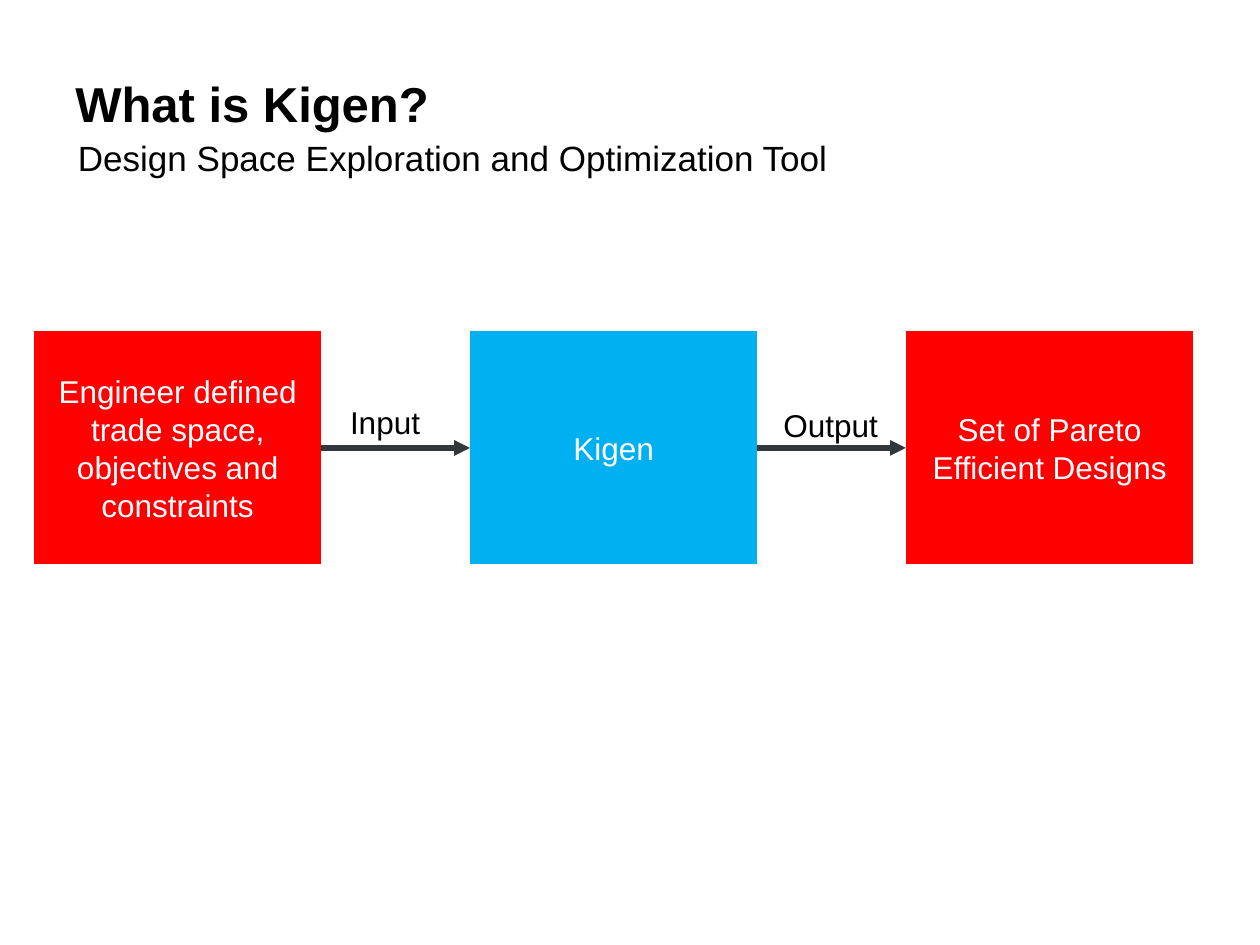
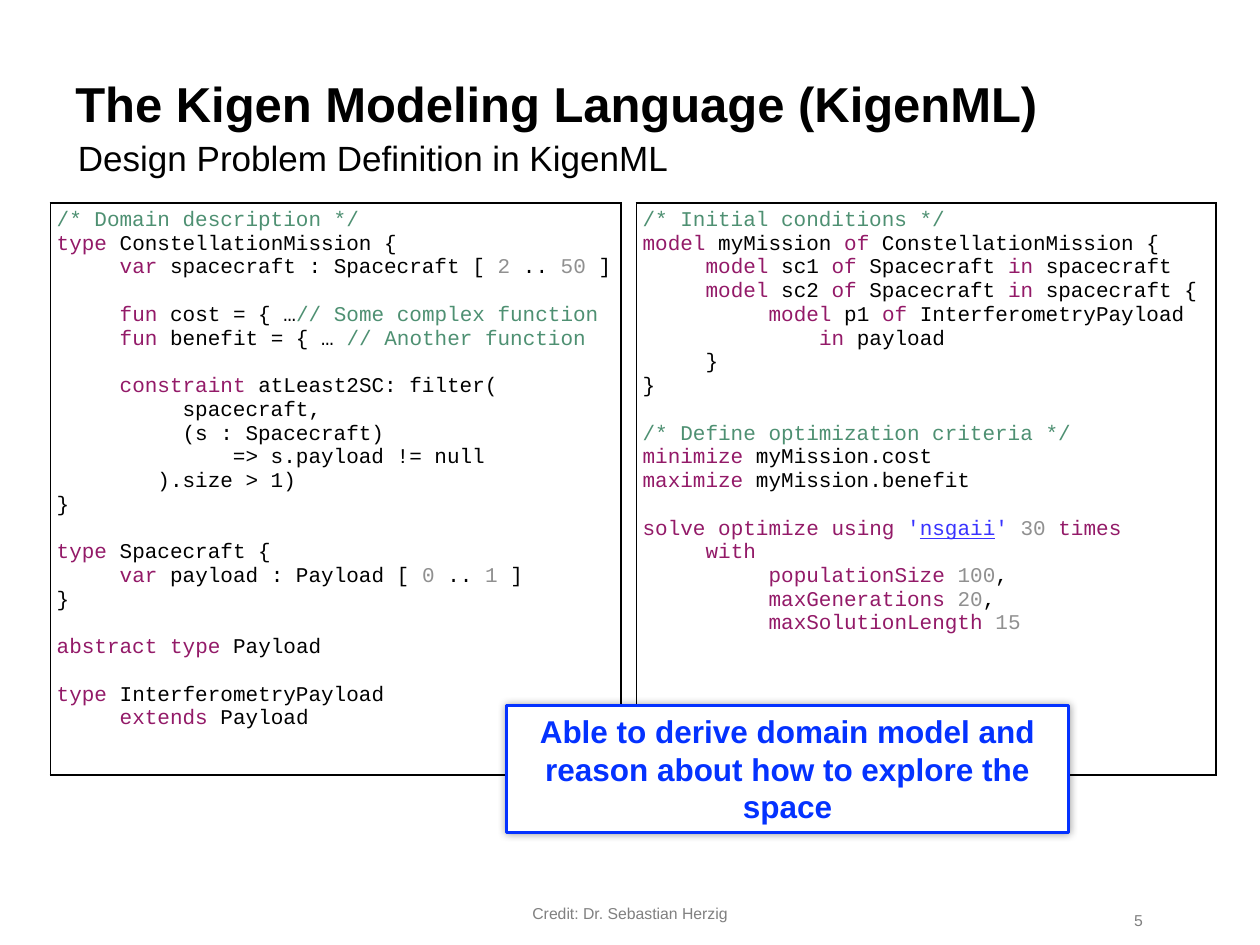
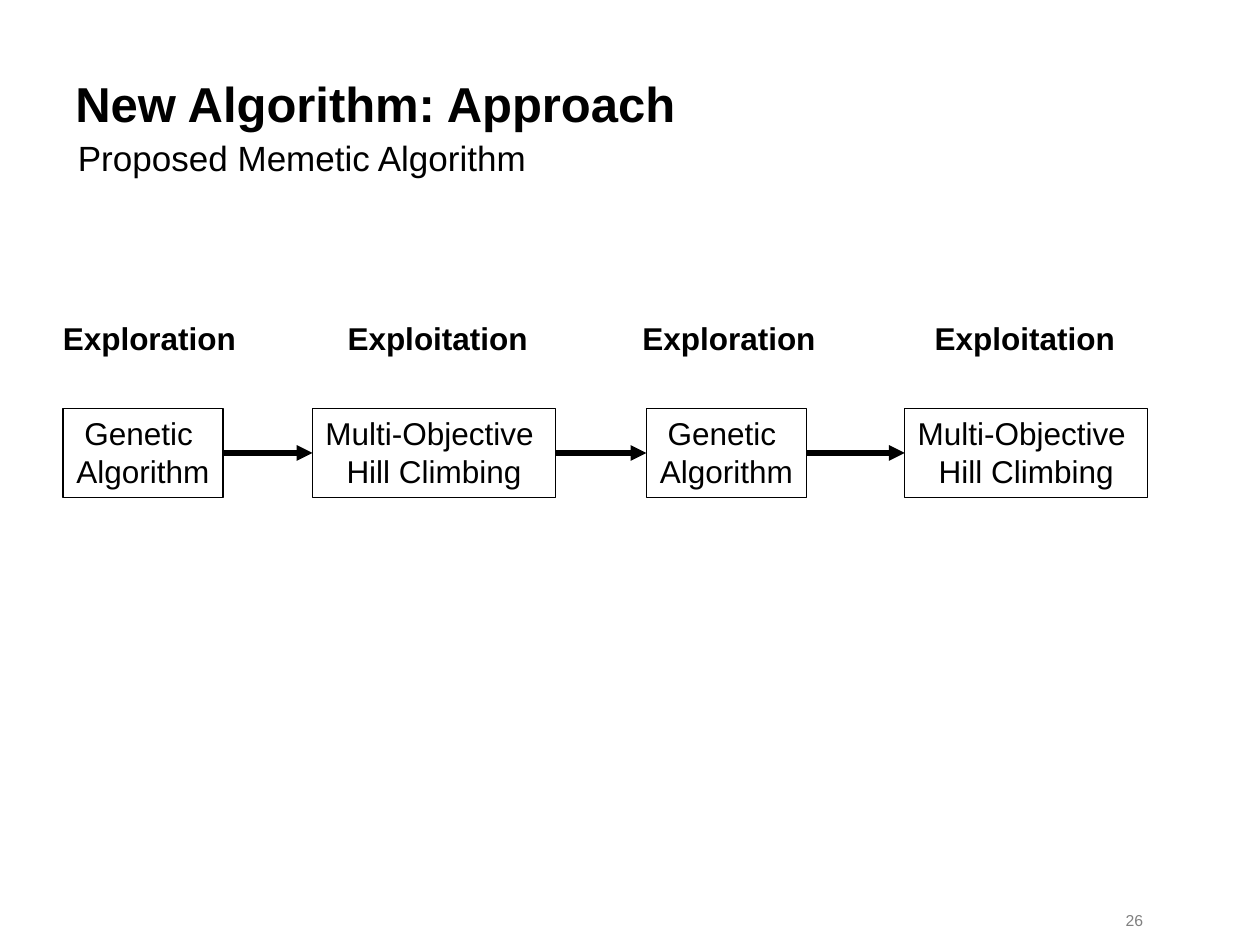
"""Build three slides about the Kigen design exploration tool."""
from itertools import groupby, pairwise

from lxml.etree import SubElement
from pptx import Presentation
from pptx.dml.color import RGBColor
from pptx.enum.shapes import MSO_CONNECTOR, MSO_SHAPE
from pptx.enum.text import MSO_ANCHOR, PP_ALIGN
from pptx.oxml.ns import qn
from pptx.util import Inches, Pt

C = {
    "black": "000000", "white": "FFFFFF", "red": "FF0000", "sky": "00B0F0",
    "slate": "32373B", "gray": "808080", "blue": "0432FF", "comment": "4E9072",
    "keyword": "931A68", "number": "909090", "string": "3933FF",
}
W, H = 10, 7.5
CODE_LINE = 13.6
KEYWORDS = set(
    "type var fun constraint abstract extends model of in minimize maximize solve optimize "
    "using times with populationSize maxGenerations maxSolutionLength".split()
)

PIPELINE = [
    ("Engineer defined trade space, objectives and constraints", "red"),
    ("Kigen", "sky"),
    ("Set of Pareto Efficient Designs", "red"),
]
PIPELINE_LABELS = [("Input", 2.68, 3.15, 0.76), ("Output", 6.12, 3.17, 0.96)]

DOMAIN_CODE = """\
/* Domain description */
type ConstellationMission {
     var spacecraft : Spacecraft [ 2 .. 50 ]

     fun cost = { …// Some complex function
     fun benefit = { … // Another function

     constraint atLeast2SC: filter(
          spacecraft,
          (s : Spacecraft)
              => s.payload != null
        ).size > 1)
}

type Spacecraft {
     var payload : Payload [ 0 .. 1 ]
}

abstract type Payload

type InterferometryPayload
     extends Payload"""
SOLVER_CODE = """\
/* Initial conditions */
model myMission of ConstellationMission {
     model sc1 of Spacecraft in spacecraft
     model sc2 of Spacecraft in spacecraft {
          model p1 of InterferometryPayload
              in payload
     }
}

/* Define optimization criteria */
minimize myMission.cost
maximize myMission.benefit

solve optimize using 'nsgaii' 30 times
     with
          populationSize 100,
          maxGenerations 20,
          maxSolutionLength 15"""
LISTINGS = [(DOMAIN_CODE, 0.4, 4.53), (SOLVER_CODE, 5.05, 4.6)]
CALLOUT = "Able to derive domain model and reason about how to explore the space"

GENETIC = ("Genetic ", "Algorithm"), 1.27
CLIMBING = ("Multi-Objective ", "Hill Climbing"), 1.93
STAGES = [
    ("Exploration", 0.4, 1.59, 0.5, *GENETIC),
    ("Exploitation", 2.66, 1.65, 2.48, *CLIMBING),
    ("Exploration", 5, 1.59, 5.13, *GENETIC),
    ("Exploitation", 7.32, 1.65, 7.18, *CLIMBING),
]


def rgb(name):
    return RGBColor.from_string(C[name])


def write(sp, lines, size=18, color="black", bold=False, align=PP_ALIGN.LEFT,
          anchor=MSO_ANCHOR.TOP, wrap=True, top=0.05):
    tf = sp.text_frame
    tf.word_wrap, tf.vertical_anchor, tf.margin_top = wrap, anchor, Inches(top)
    for i, line in enumerate(lines):
        p = tf.add_paragraph() if i else tf.paragraphs[0]
        p.text, p.alignment = line, align
        f = p.font
        f.name, f.size, f.bold, f.color.rgb = "Arial", Pt(size), bold, rgb(color)


def text(s, line, x, y, w, h, **style):
    write(s.shapes.add_textbox(*map(Inches, (x, y, w, h))), [line], **style)


def box(s, x, y, w, h, fill=None, line=None, width=0.75, kind=MSO_SHAPE.RECTANGLE):
    sp = s.shapes.add_shape(kind, *map(Inches, (x, y, w, h)))
    sp.shadow.inherit = False
    if fill:
        sp.fill.solid()
        sp.fill.fore_color.rgb = rgb(fill)
    else:
        sp.fill.background()
    if line:
        sp.line.color.rgb, sp.line.width = rgb(line), Pt(width)
    else:
        sp.line.fill.background()
    return sp


def arrow(s, left, right, color):
    y = left.top + left.height // 2
    cx = s.shapes.add_connector(MSO_CONNECTOR.STRAIGHT, left.left + left.width, y, right.left, y)
    cx.line.color.rgb, cx.line.width = rgb(color), Pt(3)
    SubElement(cx.line._get_or_add_ln(), qn("a:tailEnd"), type="triangle")
    SubElement(cx._element.spPr, qn("a:effectLst"))


def glow(sp, blur, opacity):
    effects = sp._element.spPr.find(qn("a:effectLst"))
    shadow = SubElement(effects, qn("a:outerShdw"), blurRad=str(Pt(blur)), dist="0", dir="0",
                        algn="ctr", rotWithShape="0")
    clr = SubElement(shadow, qn("a:srgbClr"), val=C["black"])
    SubElement(clr, qn("a:alpha"), val=str(opacity * 1000))


def tokens(line):
    """Yield (text, colour, underlined) for each part of a code line."""
    start = min((i for i in (line.find("/*"), line.find("//")) if i >= 0), default=len(line))
    for word in line[:start].split(" "):
        core = word.rstrip(",")
        if word.startswith("'"):
            yield "'", "string", False
            yield word.strip("'"), "string", True
            yield "'", "string", False
        else:
            color = "keyword" if core in KEYWORDS else "number" if core.isdigit() else "black"
            yield core, color, False
            yield word[len(core):], "black", False
        yield " ", "black", False
    yield line[start:], "comment", False


def code_runs(line):
    parts = [t for t in tokens(line) if t[0]]
    if parts[-1][0] == " ":
        parts.pop()
    elif parts[-1][1] == "comment" and not line[:line.find(parts[-1][0])].endswith(" "):
        parts = [t for t in parts[:-2]] + parts[-1:]
        if parts[0][0] == " " and len(parts) == 2:
            parts = parts[1:]
    elif parts[-1][1] == "comment":
        parts.pop(-2)
    for (color, under), group in groupby(parts, key=lambda t: t[1:]):
        yield "".join(t[0] for t in group), color, under


def listing(s, code, x, y, w, h):
    table = s.shapes.add_table(1, 1, *map(Inches, (x, y, w, h))).table
    table.first_row = table.horz_banding = False
    cell = table.cell(0, 0)
    cell.margin_left = cell.margin_right = cell.margin_top = cell.margin_bottom = Inches(0.05)
    tcPr = cell._tc.get_or_add_tcPr()
    for side in ("lnL", "lnR", "lnT", "lnB"):
        ln = SubElement(tcPr, qn(f"a:{side}"), w=str(Pt(1)))
        SubElement(SubElement(ln, qn("a:solidFill")), qn("a:srgbClr"), val=C["black"])
    cell.fill.background()
    tf = cell.text_frame
    p, gap = tf.paragraphs[0], 0
    for i, line in enumerate(code.splitlines()):
        if not line:
            gap += CODE_LINE
            continue
        if i:
            p = tf.add_paragraph()
        if gap:
            p.space_before, gap = Pt(gap), 0
        p.font.name, p.font.size = "Courier New", Pt(12)
        for part, color, under in code_runs(line):
            r = p.add_run()
            r.text, r.font.color.rgb = part, rgb(color)
            if under:
                r.font.underline = True


def new_slide(prs, title, subtitle, number=None):
    s = prs.slides.add_slide(prs.slide_layouts[6])
    text(s, subtitle, 0.52, 1, 9, 0.36, size=20, top=0.08)
    text(s, title, 0.5, 0.5, 9, 0.48, size=28, bold=True, top=0.08)
    if number:
        text(s, number, 8, 7.1, 1.17, 0.4, size=9, color="gray",
             align=PP_ALIGN.RIGHT, anchor=MSO_ANCHOR.MIDDLE)
    return s


def pipeline_slide(prs):
    s = new_slide(prs, "What is Kigen?", "Design Space Exploration and Optimization Tool")
    boxes = []
    for i, (label, fill) in enumerate(PIPELINE):
        sp = box(s, 0.27 + 3.46 * i, 2.63, 2.28, 1.85, fill, kind=MSO_SHAPE.FLOWCHART_PROCESS)
        write(sp, [label], color="white", align=PP_ALIGN.CENTER, anchor=MSO_ANCHOR.MIDDLE)
        boxes.append(sp)
    for left, right in pairwise(boxes):
        arrow(s, left, right, "slate")
    for label, x, y, w in PIPELINE_LABELS:
        text(s, label, x, y, w, 0.4, wrap=False)


def language_slide(prs):
    s = new_slide(prs, "The Kigen Modeling Language (KigenML)",
                  "Design Problem Definition in KigenML", "5")
    text(s, "Credit: Dr. Sebastian Herzig", 2.33, 7.05, 5.34, 0.4, size=9, color="gray",
         align=PP_ALIGN.CENTER, anchor=MSO_ANCHOR.MIDDLE)
    for code, x, w in LISTINGS:
        listing(s, code, x, 1.61, w, 4.54)
    sp = box(s, 4.02, 5.6, 4.46, 1.01, "white", "blue", 1.5)
    glow(sp, 5, 40)
    write(sp, [CALLOUT], color="blue", bold=True, align=PP_ALIGN.CENTER)


def approach_slide(prs):
    s = new_slide(prs, "New Algorithm: Approach", "Proposed Memetic Algorithm", "26")
    boxes = []
    for phase, phase_x, phase_w, x, lines, w in STAGES:
        text(s, phase, phase_x, 2.48, phase_w, 0.4, bold=True, wrap=False)
        sp = box(s, x, 3.24, w, 0.71, line="black")
        write(sp, lines, align=PP_ALIGN.CENTER, wrap=False)
        boxes.append(sp)
    for left, right in pairwise(boxes):
        arrow(s, left, right, "black")


def main():
    prs = Presentation()
    prs.slide_width, prs.slide_height = Inches(W), Inches(H)
    pipeline_slide(prs)
    language_slide(prs)
    approach_slide(prs)
    prs.save("out.pptx")


if __name__ == "__main__":
    main()
